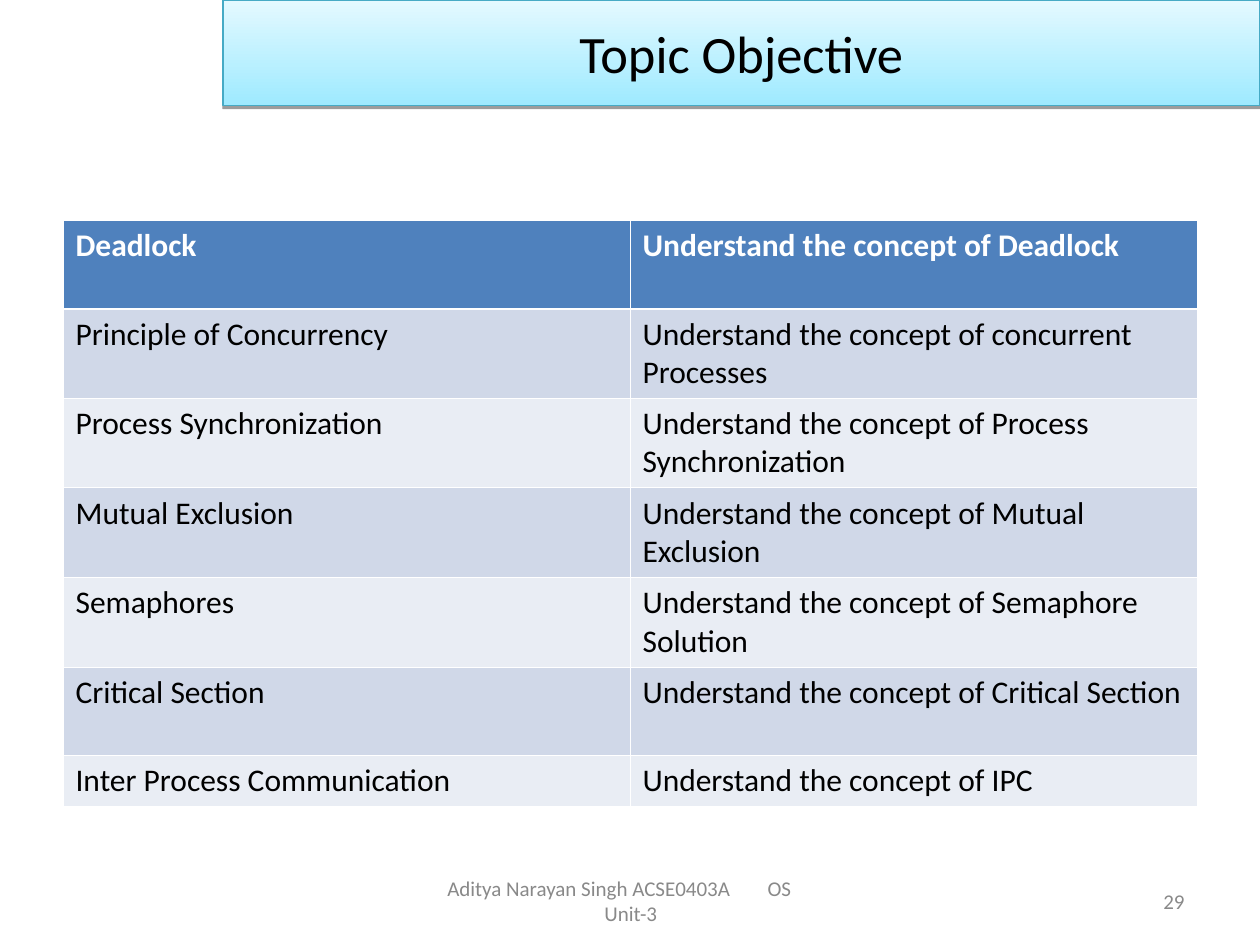
"""Build the Topic Objective slide: a title banner, a two-column table and a footer."""
from pptx import Presentation
from pptx.dml.color import RGBColor
from pptx.enum.text import MSO_ANCHOR as ANCHOR, PP_ALIGN as ALIGN
from pptx.oxml import parse_xml
from pptx.oxml.ns import nsdecls
from pptx.util import Pt

BLACK = RGBColor(0x00, 0x00, 0x00)
WHITE = RGBColor(0xFF, 0xFF, 0xFF)
GREY = RGBColor(0x89, 0x89, 0x89)
HEADER = RGBColor(0x4F, 0x81, 0xBD)
BANDS = [RGBColor(0xE9, 0xED, 0xF4), RGBColor(0xD0, 0xD8, 0xE8)]
BANNER = [RGBColor(0x9E, 0xEA, 0xFF), RGBColor(0xE4, 0xF9, 0xFF)]
BANNER_LINE = RGBColor(0x46, 0xAA, 0xC5)

ROWS = [
    ("Deadlock", "Understand the concept of Deadlock"),
    ("Principle of Concurrency", "Understand the concept of concurrent Processes"),
    ("Process Synchronization", "Understand the concept of Process Synchronization"),
    ("Mutual Exclusion", "Understand the concept of Mutual Exclusion"),
    ("Semaphores", "Understand the concept of Semaphore Solution"),
    ("Critical Section", "Understand the concept of Critical Section"),
    ("Inter Process Communication", "Understand the concept of IPC"),
]


def write(p, text, size=18, color=BLACK, bold=False, align=ALIGN.LEFT):
    p.alignment = align
    r = p.add_run()
    r.text = text
    r.font.name = "Calibri"
    r.font.size = Pt(size)
    r.font.bold = bold
    r.font.color.rgb = color


def add_text_box(s, left, width):
    tf = s.shapes.add_textbox(Pt(left), Pt(500.4), Pt(width), Pt(28.8)).text_frame
    tf.word_wrap = True
    tf.vertical_anchor = ANCHOR.MIDDLE
    return tf


prs = Presentation()
prs.slide_width, prs.slide_height = Pt(720), Pt(540)
s = prs.slides.add_slide(prs.slide_layouts[5])

title = s.shapes.title
title.left, title.top, title.width, title.height = Pt(127.4), Pt(0), Pt(592.6), Pt(60.5)
title.fill.gradient()
title.fill.gradient_angle = 90
for stop, color in zip(title.fill.gradient_stops, BANNER):
    stop.color.rgb = color
title.line.color.rgb = BANNER_LINE
title.line.width = Pt(0.75)
title._element.spPr.append(parse_xml(
    f'<a:effectLst {nsdecls("a")}><a:outerShdw blurRad="0" dist="{Pt(1.6)}" dir="5400000">'
    '<a:srgbClr val="000000"><a:alpha val="38000"/></a:srgbClr></a:outerShdw></a:effectLst>'))
title.text_frame.vertical_anchor = ANCHOR.MIDDLE
write(title.text_frame.paragraphs[0], "Topic Objective", size=30, align=ALIGN.CENTER)

table = s.shapes.add_table(len(ROWS), 2, Pt(36), Pt(126), Pt(648), Pt(331.2)).table
table.first_row = table.horz_banding = False
for i, row in enumerate(ROWS):
    table.rows[i].height = Pt(28.8 if i == len(ROWS) - 1 else 50.4)
    for j, text in enumerate(row):
        cell = table.cell(i, j)
        tc_pr = cell._tc.get_or_add_tcPr()
        for side in "LRTB":
            thick = (i, side) in [(0, "B"), (1, "T")]
            tc_pr.append(parse_xml(
                f'<a:ln{side} {nsdecls("a")} w="{Pt(1.47 if thick else 0.45)}">'
                f'<a:solidFill><a:srgbClr val="{WHITE}"/></a:solidFill></a:ln{side}>'))
        cell.fill.solid()
        cell.fill.fore_color.rgb = BANDS[i % 2] if i else HEADER
        write(cell.text_frame.paragraphs[0], text, color=BLACK if i else WHITE, bold=i == 0)

tf = add_text_box(s, 248.5, 224)
p = tf.paragraphs[0]
p._p.get_or_add_pPr().append(parse_xml(
    f'<a:tabLst {nsdecls("a")}><a:tab pos="{Pt(183)}" algn="l"/></a:tabLst>'))
write(p, "Aditya Narayan Singh ACSE0403A\tOS", size=12, color=GREY)
write(tf.add_paragraph(), "Unit-3", size=12, color=GREY, align=ALIGN.CENTER)

tf = add_text_box(s, 516, 168)
write(tf.paragraphs[0], "29", size=12, color=GREY, align=ALIGN.RIGHT)

prs.save("out.pptx")
